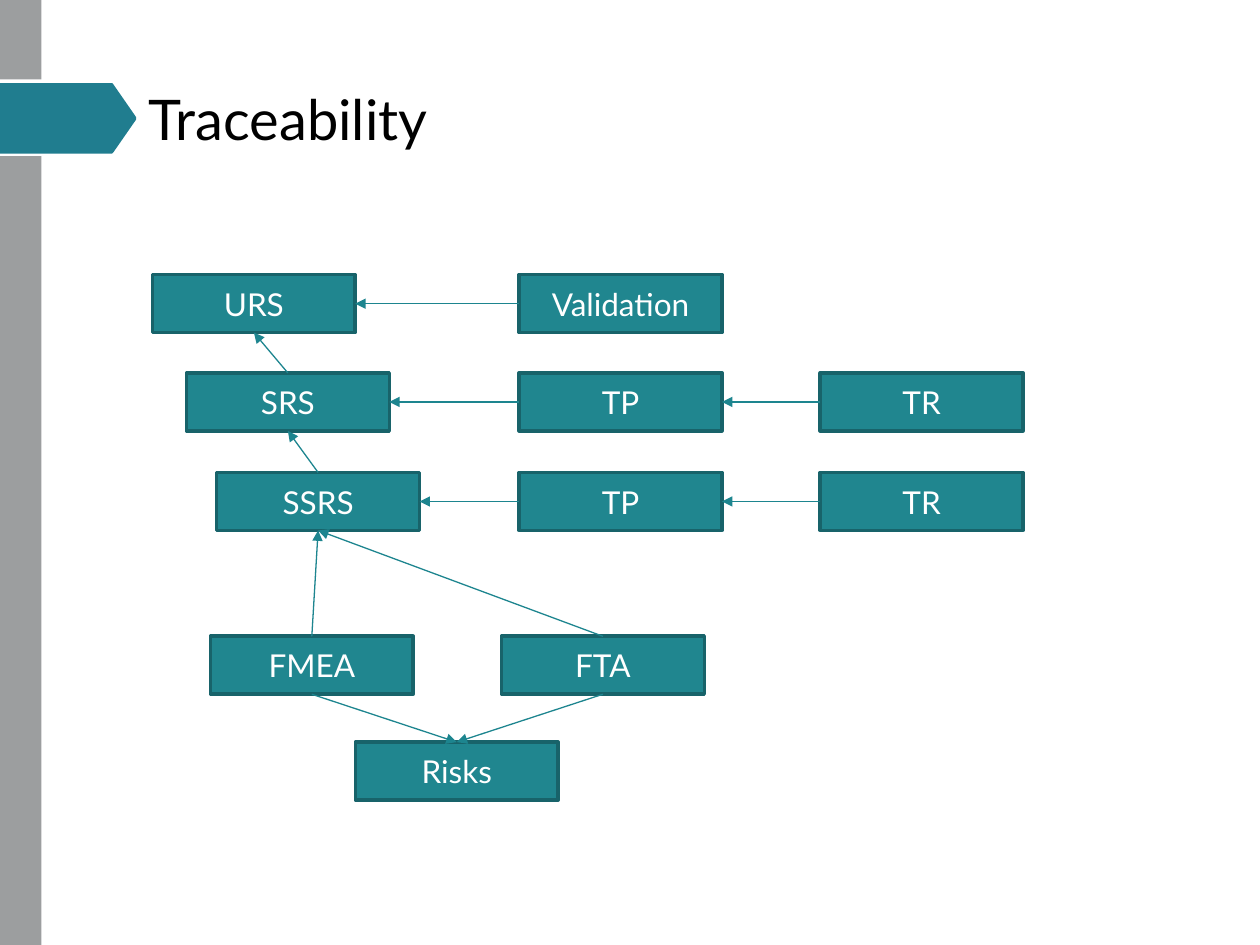
from dataclasses import dataclass

from lxml.etree import SubElement
from pptx import Presentation
from pptx.dml.color import RGBColor
from pptx.enum.shapes import MSO_CONNECTOR as Connector, MSO_SHAPE as Shape
from pptx.enum.text import MSO_ANCHOR as Anchor, PP_ALIGN as Align
from pptx.oxml.ns import qn
from pptx.util import Inches, Pt


@dataclass(frozen=True)
class Theme:
    font: str = "Lato"
    title_size: int = 32
    box_size: int = 18
    outline_width: float = 2
    arrow_width: float = 0.75
    title: str = "000000"
    band: str = "9C9E9F"
    tag: str = "207D8F"
    box: str = "20868F"
    outline: str = "18636A"
    arrow: str = "1D858F"
    box_text: str = "FFFFFF"


THEME = Theme()
BOX_WIDTH, BOX_HEIGHT = 1.61, 0.46
TOP, LEFT, BOTTOM, RIGHT = range(4)  # connection sites of a rectangle

# name: (label, left, top)
ROW_1, ROW_2, ROW_3, ROW_4, ROW_5 = 2.18, 2.96, 3.75, 5.05, 5.89
BOXES = {
    "urs": ("URS", 1.21, ROW_1),
    "validation": ("Validation", 4.12, ROW_1),
    "srs": ("SRS", 1.48, ROW_2),
    "srs plan": ("TP", 4.12, ROW_2),
    "srs report": ("TR", 6.51, ROW_2),
    "ssrs": ("SSRS", 1.72, ROW_3),
    "ssrs plan": ("TP", 4.12, ROW_3),
    "ssrs report": ("TR", 6.51, ROW_3),
    "fmea": ("FMEA", 1.67, ROW_4),
    "fta": ("FTA", 3.98, ROW_4),
    "risks": ("Risks", 2.82, ROW_5),
}

# (from site, to site): pairs of boxes
LINKS = {
    (LEFT, RIGHT): [
        ("validation", "urs"),
        ("srs plan", "srs"),
        ("srs report", "srs plan"),
        ("ssrs plan", "ssrs"),
        ("ssrs report", "ssrs plan"),
    ],
    (TOP, BOTTOM): [
        ("srs", "urs"),
        ("ssrs", "srs"),
        ("fmea", "ssrs"),
        ("fta", "ssrs"),
    ],
    (BOTTOM, TOP): [("fmea", "risks"), ("fta", "risks")],
}


def paint(shape, fill, outline=None):
    shape.shadow.inherit = False
    shape.fill.solid()
    shape.fill.fore_color.rgb = RGBColor.from_string(fill)
    if outline:
        shape.line.color.rgb = RGBColor.from_string(outline)
        shape.line.width = Pt(THEME.outline_width)
    else:
        shape.line.fill.background()


def style_text(paragraph, size, color, align):
    paragraph.alignment = align
    paragraph.font.name = THEME.font
    paragraph.font.size = Pt(size)
    paragraph.font.color.rgb = RGBColor.from_string(color)


def add_rectangle(slide, left, top, width, height, fill, outline=None):
    lengths = [Inches(value) for value in (left, top, width, height)]
    shape = slide.shapes.add_shape(Shape.RECTANGLE, *lengths)
    paint(shape, fill, outline)
    return shape


def add_side_band(slide, left, top, width, height, gap_top, gap_bottom):
    """Grey band down the edge, left open between gap_top and gap_bottom."""
    for start, end in ((top, gap_top), (gap_bottom, top + height)):
        add_rectangle(slide, left, start, width, end - start, THEME.band)


def add_tag(slide, left, top, width, height):
    """Pentagon pointing right, with slightly blunted corners."""
    right, bottom, middle = left + width, top + height, top + height / 2
    shoulder, blunt = right - 0.18, 0.01
    points = [
        (left, top),
        (shoulder - blunt, top),
        (shoulder, top + blunt),
        (right, middle - blunt),
        (right, middle + blunt),
        (shoulder, bottom - blunt),
        (shoulder - blunt, bottom),
        (left, bottom),
    ]
    start, *others = [(Inches(x), Inches(y)) for x, y in points]
    builder = slide.shapes.build_freeform(*start)
    builder.add_line_segments(others, close=True)
    paint(builder.convert_to_shape(), THEME.tag)


def set_title(slide, text, left, top, width, height):
    title = slide.shapes.title
    title.left, title.top = Inches(left), Inches(top)
    title.width, title.height = Inches(width), Inches(height)
    title.text_frame.text = text
    title.text_frame.vertical_anchor = Anchor.MIDDLE
    style_text(title.text_frame.paragraphs[0], THEME.title_size, THEME.title, Align.LEFT)


def add_box(slide, label, left, top):
    box = add_rectangle(slide, left, top, BOX_WIDTH, BOX_HEIGHT, THEME.box, THEME.outline)
    box.text_frame.text = label
    box.text_frame.vertical_anchor = Anchor.MIDDLE
    style_text(box.text_frame.paragraphs[0], THEME.box_size, THEME.box_text, Align.CENTER)
    return box


def add_arrow(slide, source, source_site, target, target_site):
    arrow = slide.shapes.add_connector(Connector.STRAIGHT, 0, 0, 0, 0)
    arrow.begin_connect(source, source_site)
    arrow.end_connect(target, target_site)
    arrow.line.color.rgb = RGBColor.from_string(THEME.arrow)
    arrow.line.width = Pt(THEME.arrow_width)
    SubElement(arrow.line._get_or_add_ln(), qn("a:tailEnd"), type="triangle")
    SubElement(arrow._element.spPr, qn("a:effectLst"))


def add_trace_diagram(slide):
    boxes = {name: add_box(slide, *box) for name, box in BOXES.items()}
    for (source_site, target_site), pairs in LINKS.items():
        for source, target in pairs:
            add_arrow(slide, boxes[source], source_site, boxes[target], target_site)


def main():
    presentation = Presentation()
    presentation.slide_width, presentation.slide_height = Inches(10), Inches(7.5)
    title_only = presentation.slide_layouts[5]
    slide = presentation.slides.add_slide(title_only)
    add_side_band(slide, 0, 0, 0.33, 7.5, gap_top=0.63, gap_bottom=1.24)
    add_tag(slide, 0, 0.66, 1.08, 0.56)
    set_title(slide, "Traceability", 1.08, 0.31, 8.42, 1.25)
    add_trace_diagram(slide)
    presentation.save("out.pptx")


if __name__ == "__main__":
    main()
